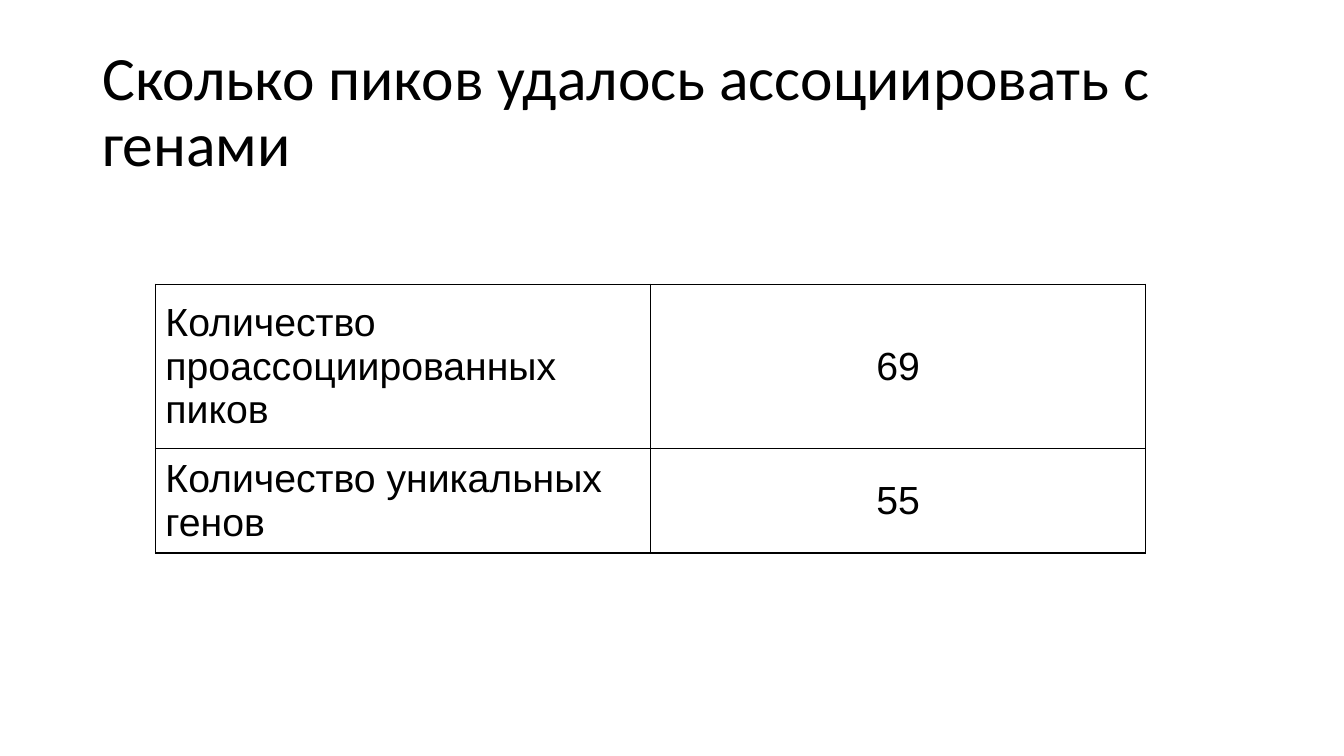
from lxml import etree
from pptx import Presentation
from pptx import util as u
from pptx.dml.color import RGBColor
from pptx.enum import text
from pptx.oxml import ns

BLACK = RGBColor(0x00, 0x00, 0x00)
TITLE = "Сколько пиков удалось ассоциировать с генами"
GENE_COUNTS = [
    ("Количество проассоциированных пиков", "69"),
    ("Количество уникальных генов", "55"),
]
ROW_HEIGHTS = [117.5, 46]
COLUMN_WIDTH = 353.75


def write_text(frame, content, size, font, align=text.PP_ALIGN.LEFT, spacing=None):
    frame.word_wrap = True
    paragraph = frame.paragraphs[0]
    paragraph.alignment = align
    paragraph.line_spacing = spacing
    run = paragraph.add_run()
    run.text = content
    run.font.size = u.Pt(size)
    run.font.name = font
    run.font.color.rgb = BLACK


def add_title(slide):
    box = slide.shapes.add_textbox(u.Pt(66), u.Pt(28.75), u.Pt(828), u.Pt(104.5))
    box.text_frame.vertical_anchor = text.MSO_ANCHOR.MIDDLE
    write_text(box.text_frame, TITLE, 44, "Calibri", spacing=0.9)


def add_borders(cell, width):
    properties = cell._tc.get_or_add_tcPr()
    for position, side in enumerate(("lnL", "lnR", "lnT", "lnB")):
        line = etree.Element(ns.qn(f"a:{side}"), w=str(u.Pt(width)))
        fill = etree.SubElement(line, ns.qn("a:solidFill"))
        etree.SubElement(fill, ns.qn("a:srgbClr"), val=str(BLACK))
        properties.insert(position, line)


def add_counts_table(slide):
    frame = slide.shapes.add_table(
        len(GENE_COUNTS), 2, u.Pt(111), u.Pt(203),
        u.Pt(2 * COLUMN_WIDTH), u.Pt(sum(ROW_HEIGHTS)))
    table = frame.table
    table.first_row = table.horz_banding = False
    for column in table.columns:
        column.width = u.Pt(COLUMN_WIDTH)
    alignments = (text.PP_ALIGN.LEFT, text.PP_ALIGN.CENTER)
    for row, height, values in zip(table.rows, ROW_HEIGHTS, GENE_COUNTS):
        row.height = u.Pt(height)
        for cell, value, align in zip(row.cells, values, alignments):
            cell.fill.background()
            cell.vertical_anchor = text.MSO_ANCHOR.MIDDLE
            write_text(cell.text_frame, value, 28, "Arial", align=align)
            add_borders(cell, 1)


def main():
    presentation = Presentation()
    presentation.slide_width = u.Pt(960)
    presentation.slide_height = u.Pt(540)
    slide = presentation.slides.add_slide(presentation.slide_layouts[6])

    # Heading
    add_title(slide)
    # Peak and gene counts
    add_counts_table(slide)

    presentation.save("out.pptx")


if __name__ == "__main__":
    main()
